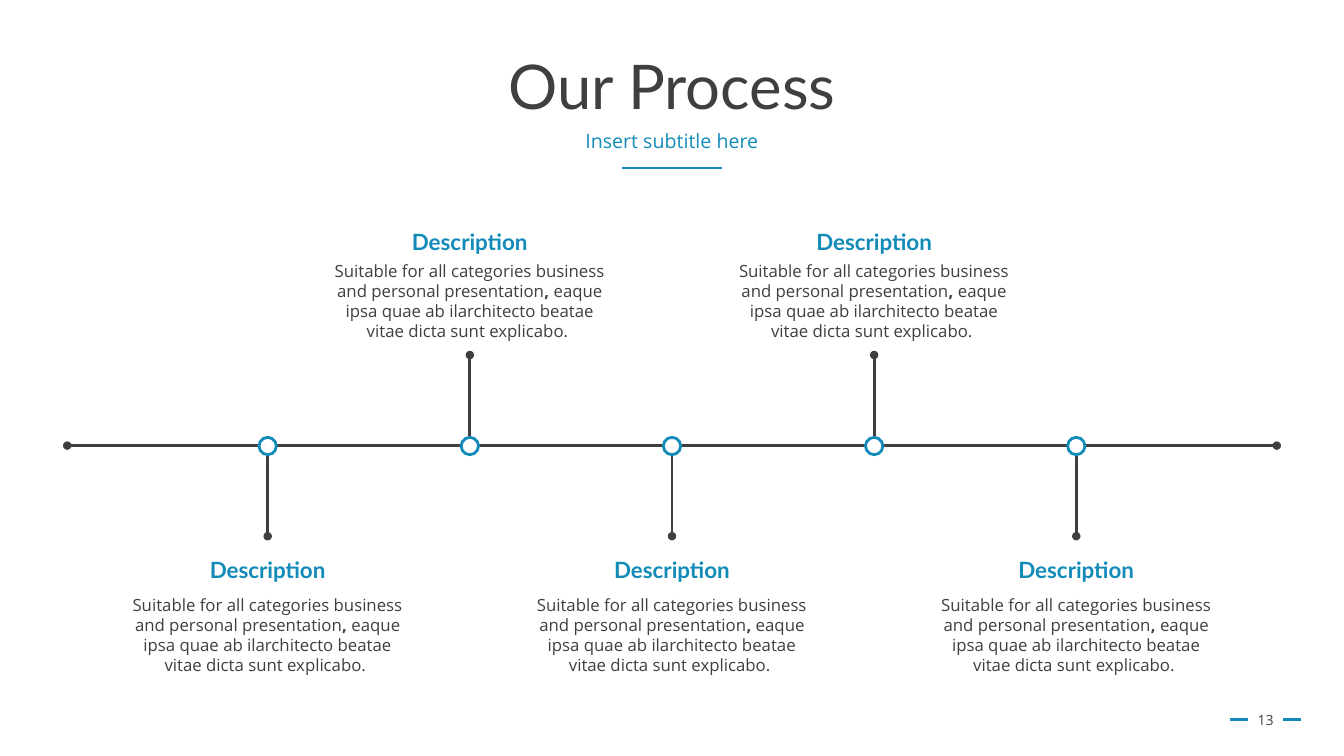
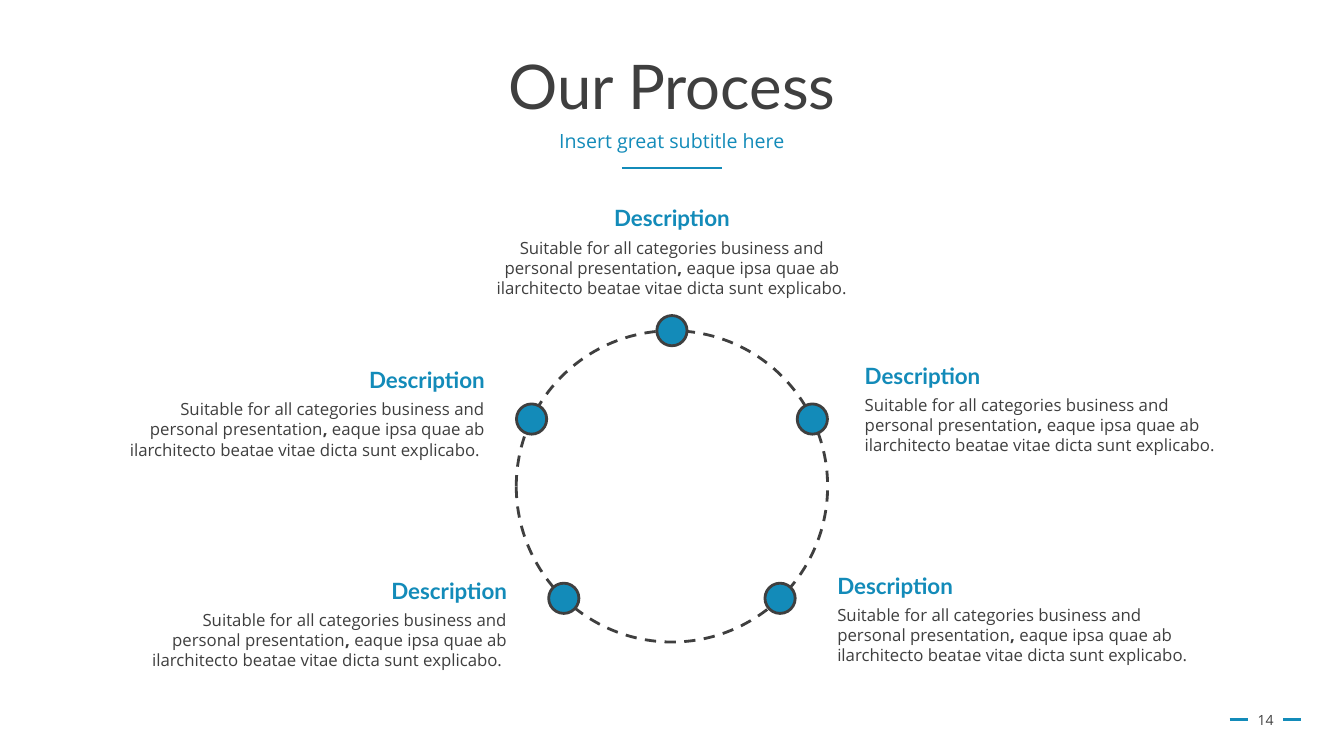
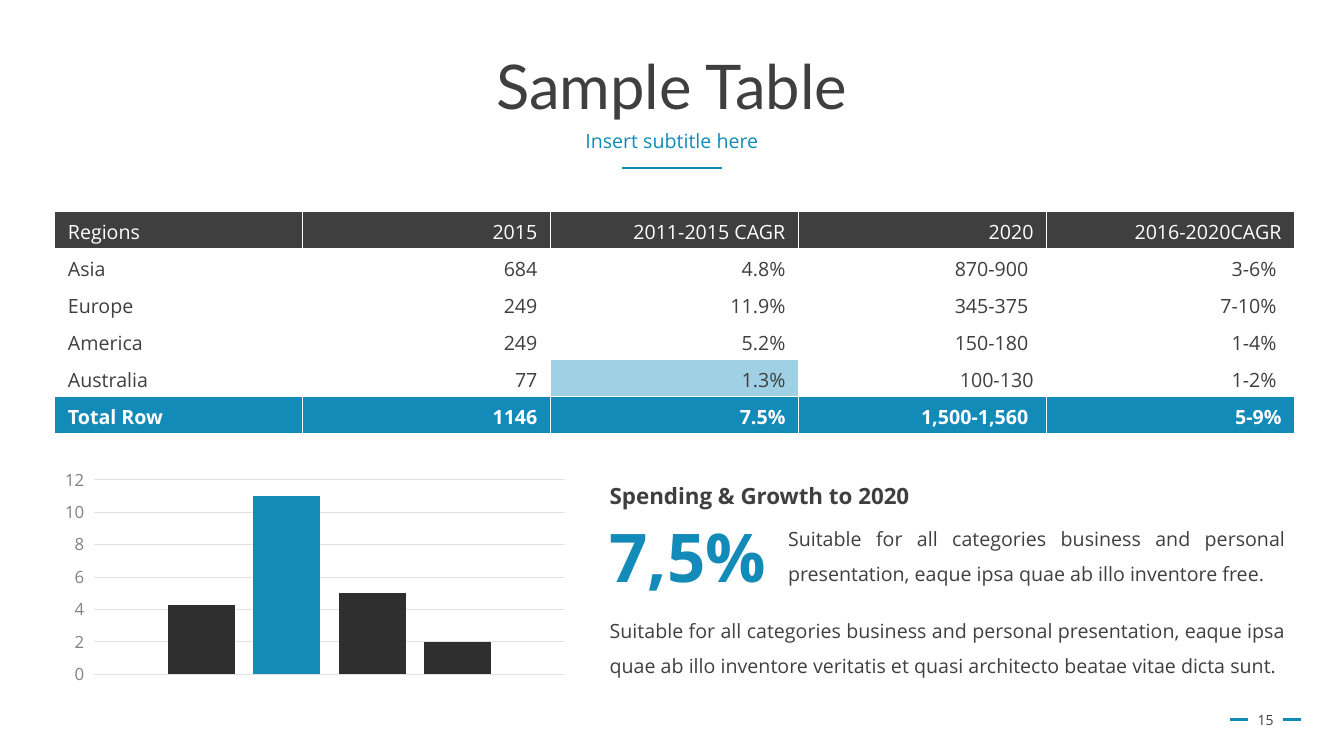
import math

import pptx
import pptx.chart.data
import pptx.dml.color
import pptx.enum.chart
import pptx.enum.dml
import pptx.enum.shapes
import pptx.enum.text
import pptx.oxml
import pptx.oxml.ns
import pptx.util

Pt = pptx.util.Pt
ALIGN = pptx.enum.text.PP_ALIGN
ANCHOR = pptx.enum.text.MSO_ANCHOR

WIDTH, HEIGHT = 960, 540
CENTER = WIDTH / 2
BLUE, DARK, WHITE = "138BB9", "3F3F3F", "FFFFFF"
BAR, AXIS_TEXT, GRID = "2F2F2F", "828282", "E2E2E2"
HEADING_FONT, BODY_FONT = "Lato", "Open Sans"

DESCRIPTION = [
    ("Suitable for all categories business and personal presentation", False),
    (",", True),
    (" eaque ipsa quae ab ilarchitecto beatae vitae dicta sunt explicabo. ", False),
]
REGIONS = [
    ["Regions", "2015", "2011-2015 CAGR", "2020", "2016-2020CAGR"],
    ["Asia", "684", "4.8%", "870-900 ", "3-6% "],
    ["Europe", "249", "11.9%", "345-375 ", "7-10% "],
    ["America", "249", "5.2%", "150-180 ", "1-4% "],
    ["Australia", "77", "1.3%", "100-130", "1-2% "],
    ["Total Row", "1146", "7.5%", "1,500-1,560 ", "5-9%"],
]
HIGHLIGHT = (4, 2)
SPENDING = [("Series 1", 4.3, BAR), ("Series 2", 11, BLUE),
            ("Series 3", 5, BAR), ("Series 4", 2, BAR)]


def rgb(value):
    return pptx.dml.color.RGBColor.from_string(value)


def points(*lengths):
    return [Pt(length) for length in lengths]


def style_font(font, size, color, name=BODY_FONT, bold=False):
    font.size, font.name, font.bold = Pt(size), name, bold
    font.color.rgb = rgb(color)


def write(text_frame, runs, size, color, name=BODY_FONT, alignment=ALIGN.LEFT,
          spacing=None):
    """Fill the first paragraph with (text, bold) runs."""
    paragraph = text_frame.paragraphs[0]
    paragraph.alignment = alignment
    if spacing:
        paragraph.line_spacing = spacing
    for text, bold in runs:
        run = paragraph.add_run()
        run.text = text
        style_font(run.font, size, color, name, bold)


def add_text(slide, box, runs, size, color, anchor=ANCHOR.TOP, **style):
    text_frame = slide.shapes.add_textbox(*points(*box)).text_frame
    text_frame.word_wrap = True
    text_frame.vertical_anchor = anchor
    write(text_frame, runs, size, color, **style)


def add_line(slide, start, end, color=DARK, width=2, oval_ends=()):
    """Draw a straight line; oval_ends names headEnd and/or tailEnd."""
    connector = slide.shapes.add_connector(
        pptx.enum.shapes.MSO_CONNECTOR.STRAIGHT, *points(*start, *end))
    connector.line.color.rgb = rgb(color)
    connector.line.width = Pt(width)
    outline = connector.line._get_or_add_ln()
    for tag in oval_ends:
        outline.append(pptx.oxml.parse_xml(
            f'<a:{tag} {pptx.oxml.ns.nsdecls("a")} type="oval"/>'))
    connector._element.spPr.append(pptx.oxml.parse_xml(
        f'<a:effectLst {pptx.oxml.ns.nsdecls("a")}/>'))


def add_circle(slide, center_x, center_y, diameter, line, fill=None):
    radius = diameter / 2
    circle = slide.shapes.add_shape(
        pptx.enum.shapes.MSO_SHAPE.OVAL,
        *points(center_x - radius, center_y - radius, diameter, diameter))
    circle.shadow.inherit = False
    circle.line.color.rgb = rgb(line)
    circle.line.width = Pt(2)
    if fill:
        circle.fill.solid()
        circle.fill.fore_color.rgb = rgb(fill)
    else:
        circle.fill.background()
    return circle


def add_page_number(slide, number, center_x=904, center_y=514):
    add_text(slide, (center_x - 21.2, center_y - 14.4, 42.4, 28.8),
             [(str(number), False)], 10, DARK, anchor=ANCHOR.MIDDLE,
             alignment=ALIGN.CENTER)
    for side in (-1, 1):
        inner, outer = sorted((center_x + side * 12.8, center_x + side * 25.6))
        add_line(slide, (inner, center_y), (outer, center_y), BLUE, 1.75)


def add_base_slide(presentation, title, subtitle, number):
    """Add a slide with the shared heading and page number."""
    slide = presentation.slides.add_slide(presentation.slide_layouts[5])
    heading = slide.shapes.title
    heading.left, heading.top, heading.width, heading.height = points(66, 28.8, 828, 70.6)
    heading.text_frame.auto_size = pptx.enum.text.MSO_AUTO_SIZE.NONE
    heading.text_frame.vertical_anchor = ANCHOR.MIDDLE
    write(heading.text_frame, [(title, False)], 44, DARK, name=HEADING_FONT,
          alignment=ALIGN.CENTER, spacing=0.9)
    add_text(slide, (66, 90.7, 828, 28.8), [(subtitle, False)], 14, BLUE,
             alignment=ALIGN.CENTER, spacing=0.9)
    add_line(slide, (CENTER - 35.7, 120), (CENTER + 35.7, 120), BLUE, 1.75)
    add_page_number(slide, number)
    return slide


def add_description(slide, left, top, width, height, alignment, body_offset=23.3):
    heading_width = 164
    share = {ALIGN.LEFT: 0, ALIGN.CENTER: 0.5, ALIGN.RIGHT: 1}[alignment]
    heading_left = left + share * (width - heading_width)
    add_text(slide, (heading_left, top, heading_width, 26.6), [("Description", True)],
             16, BLUE, name=HEADING_FONT, alignment=alignment)
    add_text(slide, (left, top + body_offset, width, height), DESCRIPTION,
             12, DARK, alignment=alignment)


def add_timeline(slide, left, axis_y, width, count=5, step=144.4):
    center_x = left + width / 2
    add_line(slide, (left, axis_y), (left + width, axis_y),
             oval_ends=("headEnd", "tailEnd"))
    text_width = 210
    for index in range(count):
        x = center_x + (index - (count - 1) / 2) * step
        below = index % 2 == 0
        side = 1 if below else -1
        add_line(slide, (x, axis_y + side * 7), (x, axis_y + side * 64.7),
                 oval_ends=("tailEnd",))
        add_circle(slide, x, axis_y + 0.3, 12.4, BLUE, WHITE)
        add_description(slide, x - text_width / 2, axis_y + (75.6 if below else -159.2),
                        text_width, 65.4, ALIGN.CENTER, 27.3 if below else 23.3)


def add_cycle(slide, center_x, center_y, radius):
    ring = add_circle(slide, center_x, center_y, 2 * radius, DARK)
    ring.line.dash_style = pptx.enum.dml.MSO_LINE.DASH
    for degrees in (0, 64.4, -64.4, 136, -136):
        angle = math.radians(degrees)
        add_circle(slide, center_x + radius * math.sin(angle),
                   center_y - radius * math.cos(angle), 21.6, DARK, BLUE)
    # Left edge and top relative to the centre, then width and alignment
    for dx, dy, width, alignment in (
            (-132.5, -204.8, 265, ALIGN.CENTER),
            (130.6, -92.4, 272, ALIGN.LEFT),
            (111, 57.4, 272, ALIGN.LEFT),
            (-400.6, -89.3, 274, ALIGN.RIGHT),
            (-384.7, 61, 274, ALIGN.RIGHT)):
        add_description(slide, center_x + dx, center_y + dy, width, 51, alignment)


def border_cell(cell, color, width):
    properties = cell._tc.get_or_add_tcPr()
    for position, tag in enumerate(("lnL", "lnR", "lnT", "lnB")):
        properties.insert(position, pptx.oxml.parse_xml(
            f'<a:{tag} {pptx.oxml.ns.nsdecls("a")} w="{Pt(width)}">'
            f'<a:solidFill><a:srgbClr val="{color}"/></a:solidFill></a:{tag}>'))


def fill_cell(cell, color, opacity=100):
    cell.fill.solid()
    cell.fill.fore_color.rgb = rgb(color)
    if opacity < 100:
        color_element = cell._tc.tcPr.find(".//" + pptx.oxml.ns.qn("a:srgbClr"))
        color_element.append(pptx.oxml.parse_xml(
            f'<a:alpha {pptx.oxml.ns.nsdecls("a")} val="{opacity * 1000}"/>'))


def add_region_table(slide, left, top, width, row_height):
    row_count, column_count = len(REGIONS), len(REGIONS[0])
    table = slide.shapes.add_table(
        row_count, column_count,
        *points(left, top, width, row_height * row_count)).table
    table.first_row = table.horz_banding = False
    last = row_count - 1
    row_fills = {0: DARK, last: BLUE}
    for row, values in enumerate(REGIONS):
        table.rows[row].height = Pt(row_height)
        for column, value in enumerate(values):
            cell = table.cell(row, column)
            cell.margin_left = cell.margin_right = Pt(9.5)
            cell.margin_top = cell.margin_bottom = Pt(4.75)
            write(cell.text_frame, [(value, row == last)], 14,
                  WHITE if row in row_fills else DARK,
                  alignment=ALIGN.RIGHT if column else ALIGN.LEFT)
            if row in row_fills:
                fill_cell(cell, row_fills[row])
            elif (row, column) == HIGHLIGHT:
                fill_cell(cell, BLUE, 40)
            else:
                cell.fill.background()
            border_cell(cell, WHITE, 1)


def add_spending_chart(slide, left, top, width, height):
    data = pptx.chart.data.CategoryChartData()
    data.categories = ["1"]
    for name, value, _ in SPENDING:
        data.add_series(name, [value])
    chart = slide.shapes.add_chart(
        pptx.enum.chart.XL_CHART_TYPE.COLUMN_CLUSTERED,
        *points(left, top, width, height), data).chart
    chart.has_legend = chart.has_title = False
    style_font(chart.font, 10, DARK)
    plot = chart.plots[0]
    plot.vary_by_categories = False
    plot.gap_width, plot.overlap = 219, -27
    for series, (_, _, color) in zip(plot.series, SPENDING):
        series.format.fill.solid()
        series.format.fill.fore_color.rgb = rgb(color)
    chart.category_axis.visible = False
    axis = chart.value_axis
    axis.minimum_scale, axis.maximum_scale, axis.major_unit = 0, 12, 2
    axis.format.line.fill.background()
    style_font(axis.tick_labels.font, 12, AXIS_TEXT)
    axis.major_gridlines.format.line.color.rgb = rgb(GRID)
    axis.major_gridlines.format.line.width = Pt(0.75)


def add_spending_summary(slide, left, top, width):
    figure_width = 127.4
    justified = {"alignment": ALIGN.JUSTIFY, "spacing": 1.5}
    add_text(slide, (left, top, 412, 33), [("Spending & Growth to 2020", True)],
             16, DARK, **justified)
    add_text(slide, (left, top + 33, figure_width, 65.5), [("7,5%", True)], 48, BLUE)
    add_text(slide, (left + figure_width, top + 33, width - figure_width, 55.4),
             [("Suitable for all categories business and personal presentation, "
               "eaque ipsa quae ab illo inventore free.", False)],
             14, DARK, **justified)
    add_text(slide, (left, top + 98.6, width, 58.3),
             [("Suitable for all categories business and personal presentation, "
               "eaque ipsa quae ab illo inventore veritatis et quasi architecto "
               "beatae vitae dicta sunt.", False)],
             14, DARK, **justified)


def main():
    presentation = pptx.Presentation()
    presentation.slide_width, presentation.slide_height = points(WIDTH, HEIGHT)

    timeline = add_base_slide(presentation, "Our Process", "Insert subtitle here", 13)
    add_timeline(timeline, 48, 318.3, 864)

    cycle = add_base_slide(presentation, "Our Process", "Insert great subtitle here", 14)
    add_cycle(cycle, CENTER, 347.4, 111.2)

    regions = add_base_slide(presentation, "Sample Table", "Insert subtitle here", 15)
    add_region_table(regions, 39, 151.2, 886, 26.4)
    add_spending_chart(regions, 39, 331.2, 372, 162)
    add_spending_summary(regions, 428.4, 331.2, 497)

    presentation.save("out.pptx")


if __name__ == "__main__":
    main()
